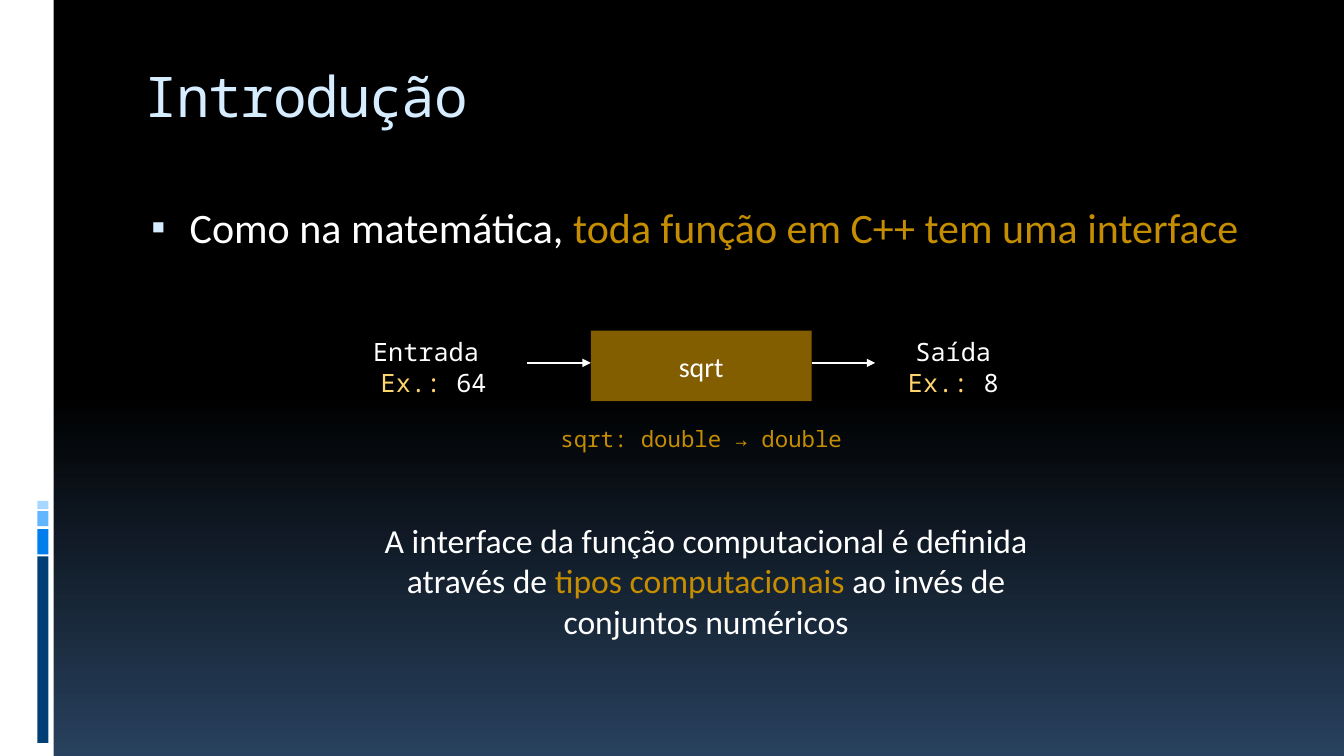
from lxml import etree
from pptx import Presentation
from pptx.dml.color import RGBColor
from pptx.enum.shapes import MSO_CONNECTOR, MSO_SHAPE
from pptx.enum.text import MSO_ANCHOR, PP_ALIGN
from pptx.oxml.ns import qn
from pptx.util import Inches, Pt

RECT = MSO_SHAPE.RECTANGLE
STRAIGHT = MSO_CONNECTOR.STRAIGHT
MIDDLE = MSO_ANCHOR.MIDDLE
LEFT, CENTER = PP_ALIGN.LEFT, PP_ALIGN.CENTER
SANS, MONO = "Calibri", "Noto Sans Mono"
COLORS = {
    "black": "000000", "navy": "28415E", "white": "FFFFFF",
    "title": "D6ECFF", "gold": "C58D01", "amber": "FED46C", "box": "835E01",
    "bar1": "003F75", "bar2": "007EEB", "bar3": "61B6FF", "bar4": "A7D6FF",
}
RGB = {name: RGBColor.from_string(value) for name, value in COLORS.items()}
W, H = 13.33, 7.5
MARGIN, CONTENT_W = W / 10, W * 0.85
BOX_X, BOX_Y, BOX_W, BOX_H = 5.86, 3.28, 2.19, 0.7
ARROW_Y, ARROW_W = 3.6, 0.63

prs = Presentation()
prs.slide_width, prs.slide_height = Inches(W), Inches(H)
s = prs.slides.add_slide(prs.slide_layouts[6])

bg = s.background.fill
bg.gradient()
bg.gradient_angle = 270
for stop, position, color in zip(bg.gradient_stops, (0.52, 1), ("black", "navy")):
    stop.position = position
    stop.color.rgb = RGB[color]


def add_rect(x, y, w, h, color):
    sp = s.shapes.add_shape(RECT, Inches(x), Inches(y), Inches(w), Inches(h))
    sp.shadow.inherit = False
    sp.fill.solid()
    sp.fill.fore_color.rgb = RGB[color]
    sp.line.fill.background()
    return sp


def write(sp, runs, size, font, align=CENTER):
    tf = sp.text_frame
    tf.word_wrap = True
    p = tf.paragraphs[0]
    p.alignment = align
    for text, color in runs:
        if text == "\n":
            p.add_line_break()
            continue
        r = p.add_run()
        r.text = text
        r.font.size = Pt(size)
        r.font.name = font
        r.font.color.rgb = RGB[color]
    return p


add_rect(0, 0, W / 25, H, "white")
for y, h, color in ((5.52, 1.85, "bar1"), (5.25, 0.25, "bar2"),
                    (5.07, 0.15, "bar3"), (4.97, 0.08, "bar4")):
    add_rect(0.37, y, 0.11, h, color)

sp = add_rect(BOX_X, BOX_Y, BOX_W, BOX_H, "box")
sp.text_frame.vertical_anchor = MIDDLE
write(sp, [("sqrt", "white")], 20, SANS)

texts = {
    "title": (MARGIN, 0.56, CONTENT_W, 1, 40, MONO, LEFT,
              [("Introdução", "title")]),
    "bullet": (MARGIN, 1.95, CONTENT_W, 5, 30, SANS, LEFT,
               [("Como na matemática, ", "white"),
                ("toda função em C++ tem uma interface", "gold")]),
    "input": (3.44, 3.29, 1.72, 0.71, 18, MONO, CENTER,
              [("Entrada ", "white"), ("\n", "white"),
               ("Ex.: ", "amber"), ("64", "white")]),
    "output": (8.44, 3.29, 2.03, 0.71, 18, MONO, CENTER,
               [("Saída", "white"), ("\n", "white"),
                ("Ex.: ", "amber"), ("8", "white")]),
    "signature": (5.4, 4.17, 3.11, 0.37, 16, MONO, CENTER,
                  [("sqrt: double → double", "gold")]),
    "summary": (3.67, 5.11, W / 2, 1.31, 24, SANS, CENTER,
                [("A interface da função computacional é definida através de ", "white"),
                 ("tipos computacionais", "gold"),
                 (" ao invés de conjuntos numéricos", "white")]),
}
paragraphs = {}
for name, (x, y, w, h, size, font, align, runs) in texts.items():
    sp = s.shapes.add_textbox(Inches(x), Inches(y), Inches(w), Inches(h))
    paragraphs[name] = write(sp, runs, size, font, align)

for r in paragraphs["title"].runs:
    r.font._element.set("spc", "-100")

pPr = paragraphs["bullet"]._p.get_or_add_pPr()
pPr.set("marL", str(Inches(0.45)))
pPr.set("indent", str(Inches(-0.38)))
buClr = etree.SubElement(pPr, qn("a:buClr"))
etree.SubElement(buClr, qn("a:srgbClr"), val=COLORS["title"])
etree.SubElement(pPr, qn("a:buSzPct"), val="95000")
etree.SubElement(pPr, qn("a:buFont"), typeface=SANS)
etree.SubElement(pPr, qn("a:buChar"), char="▪")

for x in (BOX_X - ARROW_W, BOX_X + BOX_W):
    arrow = s.shapes.add_connector(STRAIGHT, Inches(x), Inches(ARROW_Y),
                                   Inches(x + ARROW_W), Inches(ARROW_Y))
    arrow.line.color.rgb = RGB["white"]
    arrow.line.width = Pt(0.94)
    etree.SubElement(arrow.line._get_or_add_ln(), qn("a:tailEnd"), type="triangle")
    etree.SubElement(arrow._element.spPr, qn("a:effectLst"))

prs.save("out.pptx")
